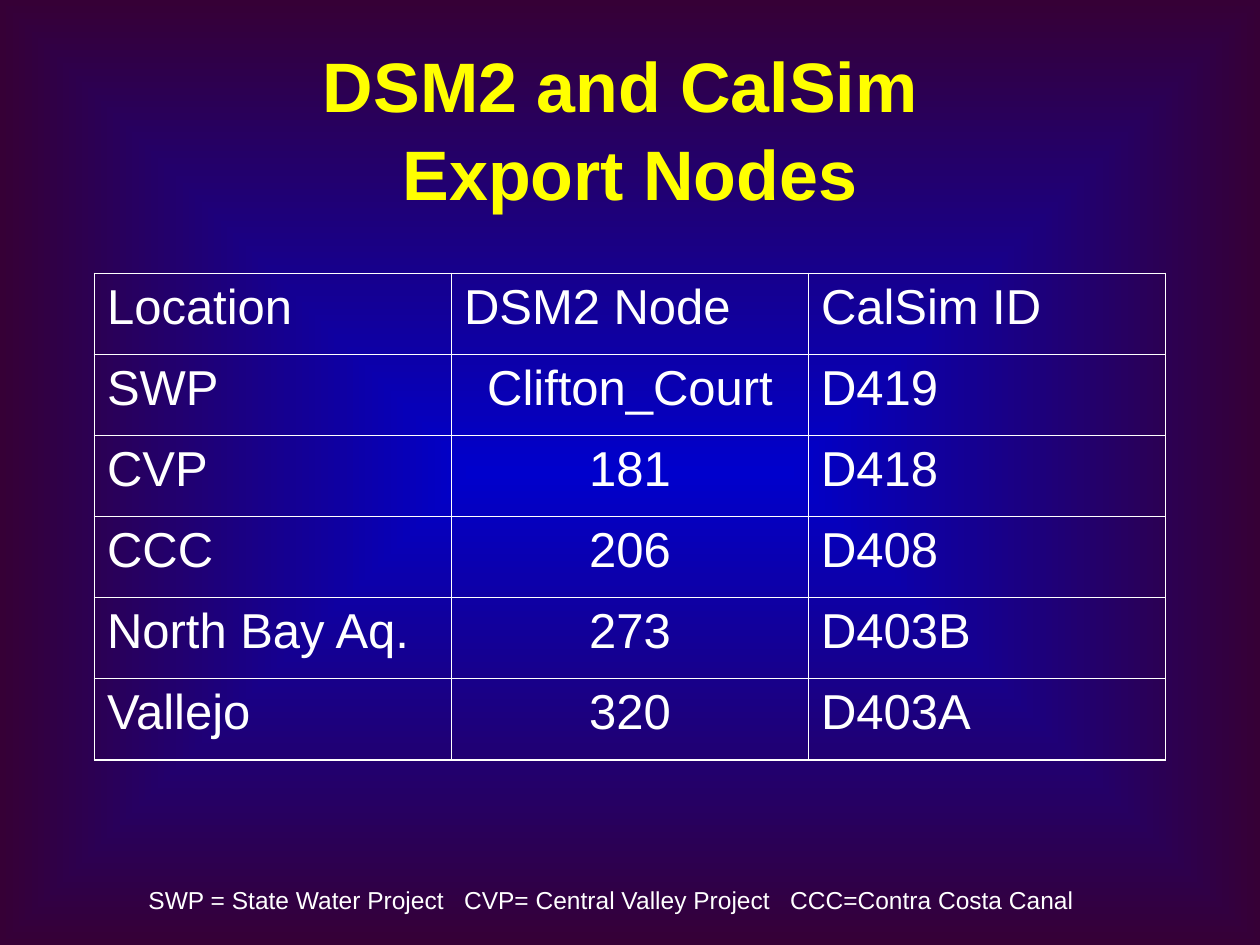
from lxml.etree import SubElement
from pptx import Presentation
from pptx.dml.color import RGBColor
from pptx.enum.text import MSO_ANCHOR as Anchor, MSO_AUTO_SIZE as AutoSize, PP_ALIGN as Align
from pptx.oxml.ns import qn
from pptx.util import Inches, Pt

BLUE = RGBColor(0x00, 0x00, 0xCC)
PLUM = RGBColor(0x36, 0x00, 0x36)
YELLOW = RGBColor(0xFF, 0xFF, 0x00)
WHITE = RGBColor(0xFF, 0xFF, 0xFF)
FONT = "Arial"
OUTER, INNER = Pt(1.08), Pt(0.45)

TITLE = "DSM2 and CalSim \vExport Nodes"
NODES = [
    ("Location", "DSM2 Node", "CalSim ID"),
    ("SWP", "Clifton_Court", "D419"),
    ("CVP", "181", "D418"),
    ("CCC", "206", "D408"),
    ("North Bay Aq.", "273", "D403B"),
    ("Vallejo", "320", "D403A"),
]
KEY = "SWP = State Water Project   CVP= Central Valley Project   CCC=Contra Costa Canal"


def style(p, size, color, bold=False, align=Align.LEFT):
    p.alignment = align
    for r in p.runs:
        r.font.name, r.font.size, r.font.bold = FONT, Pt(size), bold
        r.font.color.rgb = color


def paint_background(s):
    fill = s.background.fill
    fill.gradient()
    for stop, color, position in zip(fill.gradient_stops, (BLUE, PLUM), (0, 1)):
        stop.color.rgb = color
        stop.position = position
    grad = s._element.find(".//" + qn("a:gradFill"))
    grad.remove(grad.find(qn("a:lin")))
    shade = SubElement(grad, qn("a:path"), {"path": "rect"})
    SubElement(shade, qn("a:fillToRect"), dict.fromkeys("ltrb", "50000"))


def add_title(s, box):
    tf = s.shapes.add_textbox(*box).text_frame
    tf.word_wrap = True
    tf.vertical_anchor = Anchor.MIDDLE
    tf.margin_top = Inches(0.1)
    tf.text = TITLE
    p = tf.paragraphs[0]
    p.line_spacing = 1.05
    style(p, 40, YELLOW, True, Align.CENTER)


def set_borders(cell, widths):
    tc_pr = cell._tc.get_or_add_tcPr()
    for side, width in zip("LRTB", widths):
        ln = SubElement(tc_pr, qn(f"a:ln{side}"), {"w": str(width)})
        fill = SubElement(ln, qn("a:solidFill"))
        SubElement(fill, qn("a:srgbClr"), {"val": str(WHITE)})


def add_node_table(s, box):
    rows, cols = len(NODES), len(NODES[0])
    table = s.shapes.add_table(rows, cols, *box).table
    table.first_row = table.horz_banding = False
    for i, row in enumerate(NODES):
        for j, text in enumerate(row):
            cell = table.cell(i, j)
            cell.text = text
            centred = i > 0 and j == 1
            style(cell.text_frame.paragraphs[0], 28, WHITE,
                  align=Align.CENTER if centred else Align.LEFT)
            edges = (j == 0, j == cols - 1, i == 0, i == rows - 1)
            set_borders(cell, [OUTER if edge else INNER for edge in edges])
            cell.fill.background()


def add_key(s, box):
    tf = s.shapes.add_textbox(*box).text_frame
    tf.word_wrap = False
    tf.auto_size = AutoSize.SHAPE_TO_FIT_TEXT
    tf.text = KEY
    style(tf.paragraphs[0], 14, WHITE)


def main():
    prs = Presentation()
    prs.slide_width, prs.slide_height = Inches(10), Inches(7.5)
    w, h = prs.slide_width, prs.slide_height
    s = prs.slides.add_slide(prs.slide_layouts[6])
    margin = int(w * 0.075)
    content = w - 2 * margin
    paint_background(s)
    add_title(s, (margin, Inches(0.35), content, h // 6))
    add_node_table(s, (margin, Inches(2.17), content, Inches(3.86)))
    add_key(s, (Inches(1.08), int(h * 0.93), Inches(7.57), Inches(0.34)))
    prs.save("out.pptx")


if __name__ == "__main__":
    main()
